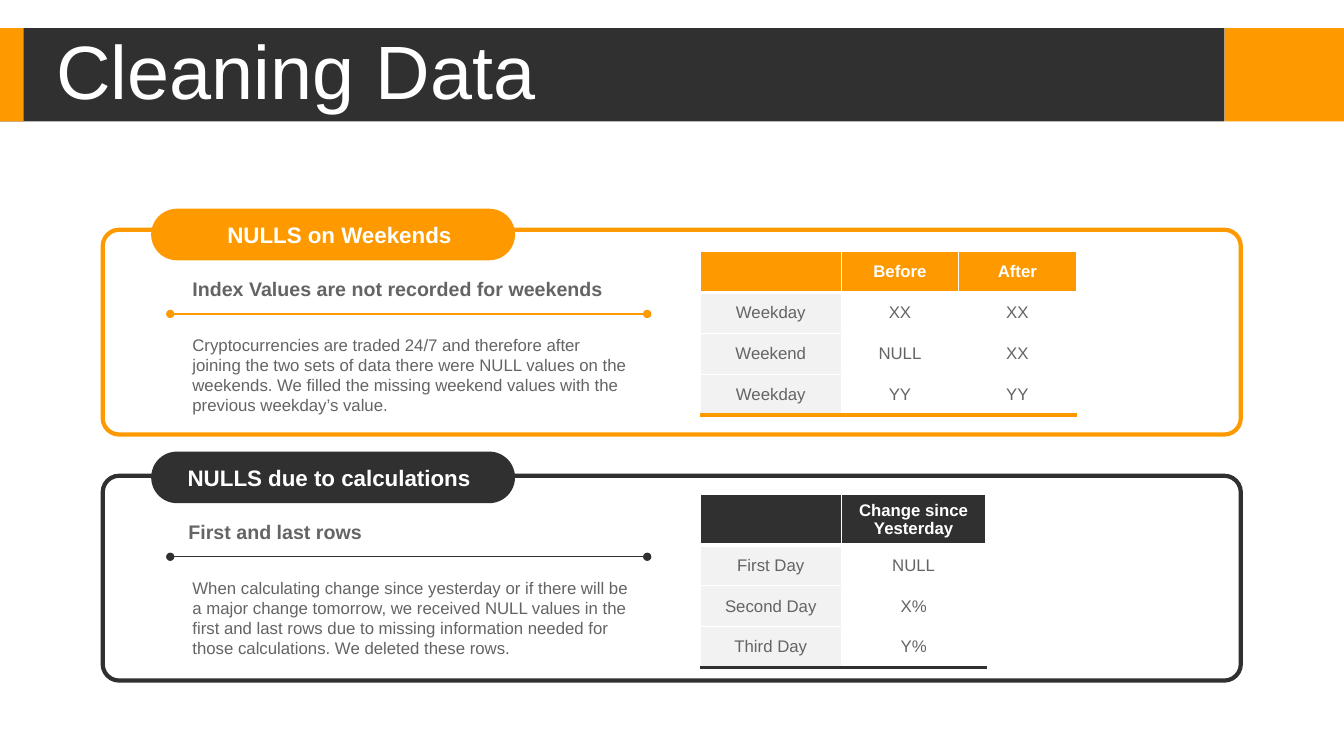
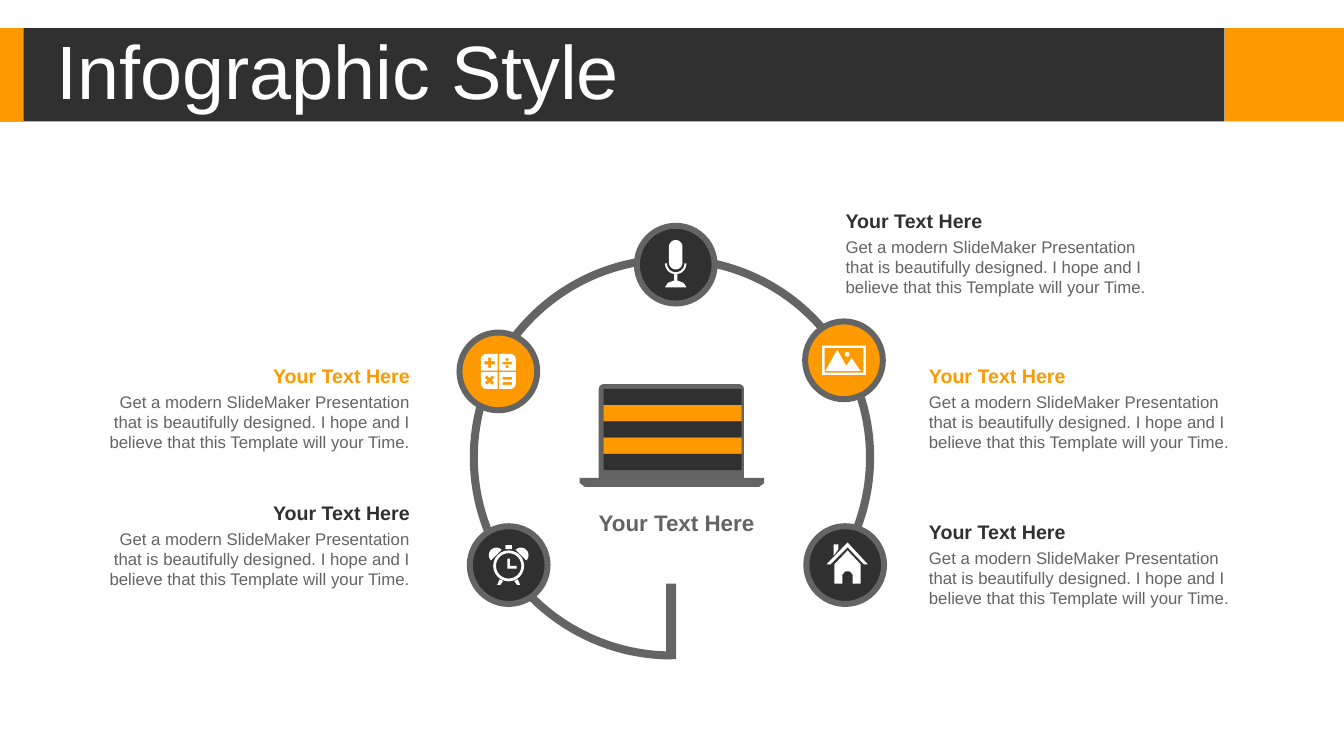
from math import cos, radians, sin

from lxml import etree
from pptx import Presentation
from pptx.dml.color import RGBColor
from pptx.enum.shapes import MSO_CONNECTOR, MSO_SHAPE
from pptx.enum.text import MSO_ANCHOR, PP_ALIGN
from pptx.oxml.ns import qn
from pptx.util import Cm, Pt

RECT, ROUND, OVAL = MSO_SHAPE.RECTANGLE, MSO_SHAPE.ROUNDED_RECTANGLE, MSO_SHAPE.OVAL
LID, ARC, TRAPEZOID = MSO_SHAPE.ROUND_2_SAME_RECTANGLE, MSO_SHAPE.BLOCK_ARC, MSO_SHAPE.TRAPEZOID
STRAIGHT, TOP, MIDDLE = MSO_CONNECTOR.STRAIGHT, MSO_ANCHOR.TOP, MSO_ANCHOR.MIDDLE
LEFT, CENTER, RIGHT = PP_ALIGN.LEFT, PP_ALIGN.CENTER, PP_ALIGN.RIGHT

FONT = "Arial"
COLORS = {"orange": "FE9900", "dark": "303030", "gray": "646464", "pale": "F2F2F2", "white": "FFFFFF"}


def rgb(name):
    return RGBColor.from_string(COLORS[name])


def box(x, y, w, h):
    return [(x, y), (x + w, y), (x + w, y + h), (x, y + h)]


def arc(cx, cy, r, start=0, end=360, steps=24):
    angles = [radians(start + (end - start) * i / steps) for i in range(steps + 1)]
    return [(cx + r * cos(a), cy + r * sin(a)) for a in angles]


def cross(cx, cy, turn):
    a, b = 0.13, 0.04
    pts = [(-b, -a), (b, -a), (b, -b), (a, -b), (a, b), (b, b),
           (b, a), (-b, a), (-b, b), (-a, b), (-a, -b), (-b, -b)]
    c, s = cos(radians(turn)), sin(radians(turn))
    return [(cx + x * c - y * s, cy + x * s + y * c) for x, y in pts]


def signed(pts, sx, sy=1):
    return [(x * sx, y * sy) for x, y in pts]


KEY = [(0.02, 0.02), (0.44, 0.02)] + arc(0.3, 0.3, 0.14, 0, 90) + [(0.02, 0.44)]
LEG = [(0.29, 0.5), (0.21, 0.5), (0.14, 0.4), (0.23, 0.36)]
BELL = arc(0.31, -0.25, 0.19, -135, 45)

ICONS = {
    "house": [
        [(0.06, -0.37), (0.39, -0.02), (0.39, 0.47), (0.19, 0.47), (0.19, 0.24), (0.12, 0.16),
         (0, 0.16), (-0.07, 0.24), (-0.07, 0.47), (-0.27, 0.47), (-0.27, -0.02)],
        [(-0.29, -0.52), (-0.17, -0.52), (-0.17, -0.4), (-0.29, -0.24)],
        [(0.06, -0.57), (0.57, -0.02), (0.47, -0.02), (0.06, -0.45), (-0.37, -0.02), (-0.47, -0.02)],
    ],
    "microphone": [
        arc(0, -0.45, 0.17, 180, 360) + arc(0, -0.05, 0.17, 0, 180),
        arc(0, -0.03, 0.27, 0, 180) + arc(0, -0.03, 0.22, 180, 0),
        box(-0.04, 0.24, 0.08, 0.16),
        [(-0.27, 0.57), (-0.2, 0.46), (-0.04, 0.4), (0.04, 0.4), (0.2, 0.46), (0.27, 0.57)],
    ],
    "calculator": [signed(KEY, sx, sy) for sx in (-1, 1) for sy in (-1, 1)] + [
        cross(-0.22, -0.22, 0), cross(-0.22, 0.22, 45),
        box(0.11, 0.14, 0.23, 0.07), box(0.11, 0.27, 0.23, 0.07),
        box(0.11, -0.24, 0.23, 0.06), arc(0.22, -0.3, 0.04), arc(0.22, -0.12, 0.04),
    ],
    "clock": [
        arc(0, 0.02, 0.39), arc(0, 0.02, 0.32),
        [(-0.03, -0.16), (0.03, -0.16), (0.03, 0.02), (0.2, 0.02), (0.2, 0.09), (-0.03, 0.09)],
        LEG, signed(LEG, -1), BELL, signed(BELL, -1), box(-0.08, -0.5, 0.16, 0.1),
    ],
    "landscape": [
        box(-0.55, -0.37, 1.1, 0.74), box(-0.49, -0.31, 0.98, 0.62),
        [(-0.17, -0.27), (0.06, 0.14), (0.19, -0.06), (0.42, 0.27), (-0.47, 0.27)],
        arc(0.08, -0.15, 0.06),
    ],
}


class Deck:
    """Holds the presentation style and draws elements on the current slide."""

    def __init__(self):
        self.prs = Presentation()
        self.prs.slide_width, self.prs.slide_height = Cm(33.87), Cm(19.05)
        self.s = None

    def slide(self, title):
        self.s = self.prs.slides.add_slide(self.prs.slide_layouts[6])
        for x, w, color in ((30.86, 3.01, "orange"), (0, 30.86, "dark"), (0, 0.6, "orange")):
            self.shape(RECT, x, 0.71, w, 2.35, color)
        p = self.text(title, 1.17, 0.89, 24.64, 2, 54, "white", anchor=MIDDLE)
        p.line_spacing = 0.9

    def shape(self, kind, x, y, w, h, fill, line=None, width=1, adj=()):
        sp = self.s.shapes.add_shape(kind, Cm(x), Cm(y), Cm(w), Cm(h))
        for i, value in enumerate(adj):
            sp.adjustments[i] = value
        return self.paint(sp, fill, line, width)

    def paint(self, sp, fill, line=None, width=1):
        sp.shadow.inherit = False
        sp.fill.solid()
        sp.fill.fore_color.rgb = rgb(fill)
        if line:
            sp.line.color.rgb = rgb(line)
            sp.line.width = Pt(width)
        else:
            sp.line.fill.background()
        return sp

    def outline(self, cx, cy, contours, fill):
        points = [[(Cm(cx + x), Cm(cy + y)) for x, y in c] for c in contours]
        builder = self.s.shapes.build_freeform(*points[0][0])
        for i, contour in enumerate(points):
            if i:
                builder.move_to(*contour[0])
            builder.add_line_segments(contour[1:], close=True)
        self.paint(builder.convert_to_shape(), fill)

    def set_text(self, p, text, size, color, bold=False, align=LEFT):
        p.text = text
        p.alignment = align
        for r in p.runs:
            r.font.name, r.font.size, r.font.bold = FONT, Pt(size), bold
            r.font.color.rgb = rgb(color)

    def text(self, text, x, y, w, h, size, color, bold=False, align=LEFT, anchor=TOP):
        tf = self.s.shapes.add_textbox(Cm(x), Cm(y), Cm(w), Cm(h)).text_frame
        tf.word_wrap = True
        tf.vertical_anchor = anchor
        p = tf.paragraphs[0]
        self.set_text(p, text, size, color, bold, align)
        return p

    def rule(self, x1, x2, y, color):
        cx = self.s.shapes.add_connector(STRAIGHT, Cm(x1), Cm(y), Cm(x2), Cm(y))
        cx.line.color.rgb = rgb(color)
        cx.line.width = Pt(1)
        ln = cx._element.spPr.find(qn("a:ln"))
        for end in ("a:headEnd", "a:tailEnd"):
            etree.SubElement(ln, qn(end), type="oval")
        etree.SubElement(cx._element.spPr, qn("a:effectLst"))

    def border(self, cell, side, color, width):
        ln = etree.SubElement(cell._tc.get_or_add_tcPr(), qn("a:ln" + side), w=str(Pt(width)))
        fill = etree.SubElement(ln, qn("a:solidFill"))
        etree.SubElement(fill, qn("a:srgbClr"), val=COLORS[color])

    def table(self, x, y, widths, rows, color, base_width):
        height = 1.03
        frame = self.s.shapes.add_table(len(rows), len(widths), Cm(x), Cm(y),
                                        Cm(sum(widths)), Cm(height * len(rows)))
        table = frame.table
        table.first_row = table.horz_banding = False
        for column, w in zip(table.columns, widths):
            column.width = Cm(w)
        bottoms = {0: ("white", 3), len(rows) - 1: (color, base_width)}
        for i, row in enumerate(rows):
            table.rows[i].height = Cm(height)
            for j, value in enumerate(row):
                cell = table.cell(i, j)
                for side in "LRT":
                    self.border(cell, side, "white", 1)
                self.border(cell, "B", *bottoms.get(i, ("white", 1)))
                cell.fill.solid()
                cell.fill.fore_color.rgb = rgb(color if i == 0 else "white" if j else "pale")
                cell.vertical_anchor = MIDDLE
                self.set_text(cell.text_frame.paragraphs[0], value, 12,
                              "gray" if i else "white", i == 0, CENTER)

    def card(self, top, panel_top, color, label, inset, head, head_left, body):
        panel = self.shape(ROUND, 2.59, panel_top, 28.68, 5.16, "white", color, 3, (0.08,))
        tint = panel._element.spPr.find(qn("a:solidFill"))[0]
        etree.SubElement(tint, qn("a:alpha"), val="50000")
        pill = self.shape(ROUND, 3.81, top, 9.17, 1.3, color, adj=(0.5,))
        tf = pill.text_frame
        tf.margin_left, tf.vertical_anchor = Cm(inset), MIDDLE
        self.set_text(tf.paragraphs[0], label, 16, "white", True)
        self.text(head, head_left, top + 1.6, 11.2, 0.86, 14, "gray", True)
        self.rule(4.29, 16.31, top + 2.65, color)
        self.text(body, 4.6, top + 3.05, 11.61, 2.31, 12, "gray")

    def badge(self, x, y, color, icon):
        d = 1.96
        self.shape(OVAL, x, y, d, d, color, "gray", 4.25)
        self.outline(x + d / 2, y + d / 2, ICONS[icon], "white")

    def laptop(self, x, y):
        self.shape(LID, x + 0.48, y, 3.66, 2.36, "gray", adj=(0.05, 0))
        for i, color in enumerate(["dark", "orange", "dark", "orange", "dark"]):
            self.shape(RECT, x + 0.6, y + 0.12 + 0.41 * i, 3.48, 0.41, color)
        self.shape(RECT, x, y + 2.36, 4.65, 0.13, "gray")
        self.shape(TRAPEZOID, x, y + 2.49, 4.65, 0.1, "gray", adj=(1.3,)).rotation = 180

    def caption(self, x, y, color, align):
        self.text("Your Text Here", x, y, 8.27, 0.86, 14, color, True, align)
        self.text("Get a modern SlideMaker Presentation that is beautifully designed. "
                  "I hope and I believe that this Template will your Time.",
                  x, y + 0.7, 8.27, 1.8, 12, "gray", align=align)


def cleaning(deck):
    deck.slide("Cleaning Data")
    deck.card(5.26, 5.79, "orange", "NULLS on Weekends", 1.73,
              "Index Values are not recorded for weekends", 4.6,
              "Cryptocurrencies are traded 24/7 and therefore after joining the two sets of data "
              "there were NULL values on the weekends. We filled the missing weekend values "
              "with the previous weekday’s value.")
    deck.table(17.65, 6.34, [3.55, 2.96, 2.96],
               [["", "Before", "After"], ["Weekday", "XX", "XX"],
                ["Weekend", "NULL", "XX"], ["Weekday", "YY", "YY"]], "orange", 3)
    deck.card(11.38, 11.99, "dark", "NULLS due to calculations", 0.73,
              "First and last rows", 4.5,
              "When calculating change since yesterday or if there will be a major change tomorrow, "
              "we received NULL values in the first and last rows due to missing information "
              "needed for those calculations. We deleted these rows.")
    deck.table(17.65, 12.46, [3.55, 3.65],
               [["", "Change since Yesterday"], ["First Day", "NULL"],
                ["Second Day", "X%"], ["Third Day", "Y%"]], "dark", 2.25)


def infographic(deck):
    deck.slide("Infographic Style")
    deck.text("Your Text Here", 13.94, 12.7, 6.22, 0.94, 16, "gray", True, CENTER)
    deck.laptop(14.61, 9.68)
    deck.shape(ARC, 11.84, 6.43, 10.19, 10.19, "gray", adj=(53.93, 17.21, 0.02))
    deck.shape(RECT, 16.79, 14.71, 0.25, 1.9, "gray")
    for x, y, color, icon in ((20.32, 13.26, "dark", "house"), (16.05, 5.69, "dark", "microphone"),
                              (11.58, 8.38, "orange", "calculator"), (11.84, 13.26, "dark", "clock"),
                              (20.29, 8.1, "orange", "landscape")):
        deck.badge(x, y, color, icon)
    for x, y, color, align in ((21.06, 5.13, "dark", LEFT), (23.16, 9.04, "orange", LEFT),
                               (23.16, 12.98, "dark", LEFT), (2.31, 9.04, "orange", RIGHT),
                               (2.31, 12.5, "dark", RIGHT)):
        deck.caption(x, y, color, align)


def main():
    deck = Deck()
    cleaning(deck)
    infographic(deck)
    deck.prs.save("out.pptx")


if __name__ == "__main__":
    main()
